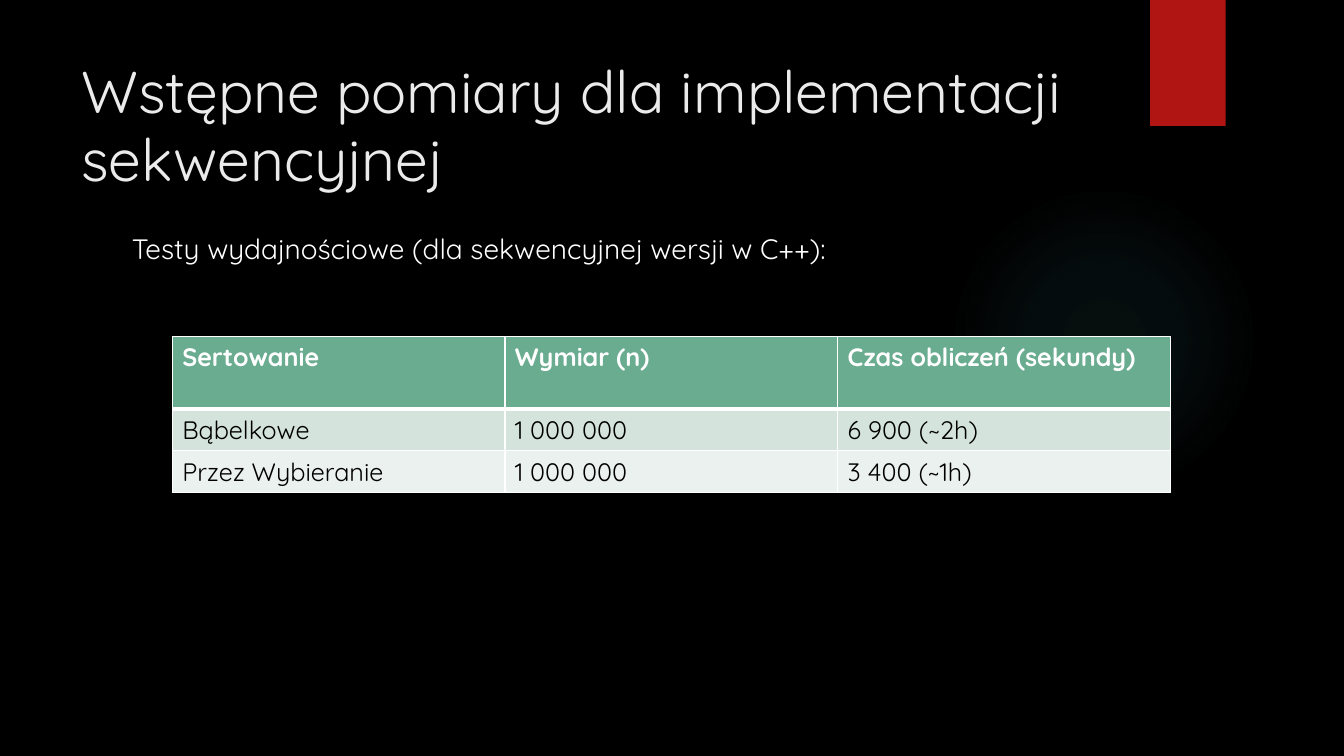
"""Build the slide with sequential sorting measurements."""
from dataclasses import dataclass

import lxml.etree
import pptx
import pptx.dml.color
import pptx.enum.shapes
import pptx.enum.text
import pptx.oxml
import pptx.oxml.ns
import pptx.util

Pt = pptx.util.Pt
MSO_SHAPE = pptx.enum.shapes.MSO_SHAPE
MSO_ANCHOR = pptx.enum.text.MSO_ANCHOR
PP_ALIGN = pptx.enum.text.PP_ALIGN
qn = pptx.oxml.ns.qn


@dataclass(frozen=True)
class Theme:
    font: str = "Quicksand"
    background: str = "000000"
    title: str = "EBEBEB"
    light: str = "FFFFFF"
    dark: str = "000000"
    accent: str = "B01513"
    glow: str = "50B9C1"
    header: str = "6AAC90"
    bands: tuple = ("D4E3DB", "EBF1EE")
    title_size: int = 42
    body_size: int = 20
    table_size: int = 18


theme = Theme()


def rgb(value):
    return pptx.dml.color.RGBColor.from_string(value)


def write(tf, text, size, color, bold=False):
    tf.text = text
    p = tf.paragraphs[0]
    p.alignment = PP_ALIGN.LEFT
    font = p.runs[0].font
    font.name, font.size, font.bold = theme.font, Pt(size), bold
    font.color.rgb = rgb(color)
    return p


prs = pptx.Presentation()
prs.slide_width, prs.slide_height = Pt(960), Pt(540)
s = prs.slides.add_slide(prs.slide_layouts[1])
s.background.fill.solid()
s.background.fill.fore_color.rgb = rgb(theme.background)

glow = s.shapes.add_shape(MSO_SHAPE.OVAL, Pt(677.5), Pt(131.8), Pt(221.8), Pt(221.8))
ribbon = s.shapes.add_shape(MSO_SHAPE.RECTANGLE, Pt(821.5), Pt(0), Pt(54), Pt(90))
for sp, color in ((glow, theme.glow), (ribbon, theme.accent)):
    sp.shadow.inherit = False
    sp.line.fill.background()
    sp.fill.solid()
    sp.fill.fore_color.rgb = rgb(color)

stops = "".join(
    f'<a:gs pos="{pos * 1000}"><a:srgbClr val="{theme.glow}">'
    f'<a:alpha val="{alpha * 1000}"/></a:srgbClr></a:gs>'
    for pos, alpha in ((0, 7), (36, 6), (69, 0))
)
gradient = pptx.oxml.parse_xml(
    f'<a:gradFill {pptx.oxml.ns.nsdecls("a")}><a:gsLst>{stops}</a:gsLst>'
    '<a:path path="circle"><a:fillToRect l="50000" t="50000" r="50000" b="50000"/>'
    "</a:path></a:gradFill>"
)
spPr = glow.element.spPr
spPr.replace(spPr.find(qn("a:solidFill")), gradient)

title, body = s.shapes.title, s.placeholders[1]
title.left, title.top, title.width, title.height = Pt(51), Pt(36), Pt(741), Pt(110)
title.text_frame.vertical_anchor = MSO_ANCHOR.MIDDLE
p = write(title.text_frame, "Wstępne pomiary dla implementacji sekwencyjnej",
          theme.title_size, theme.title)
p.line_spacing = 0.96

body.left, body.top, body.width, body.height = Pt(87), Pt(162), Pt(704), Pt(110)
body.text_frame.vertical_anchor = MSO_ANCHOR.TOP
p = write(body.text_frame, "Testy wydajnościowe (dla sekwencyjnej wersji w C++):",
          theme.body_size, theme.light)
p.space_before = Pt(10)
pPr = p._p.get_or_add_pPr()
pPr.set("marL", "0")
pPr.set("indent", "0")
lxml.etree.SubElement(pPr, qn("a:buNone"))

rows = [
    ("Sertowanie", "Wymiar (n)", "Czas obliczeń (sekundy)"),
    ("Bąbelkowe", "1 000 000", "6 900 (~2h)"),
    ("Przez Wybieranie", "1 000 000", "3 400 (~1h)"),
]
heights = (52, 29.6, 29.6)
table = s.shapes.add_table(len(rows), 3, Pt(123), Pt(240.3), Pt(713), Pt(sum(heights))).table
for i, (row, height) in enumerate(zip(rows, heights)):
    table.rows[i].height = Pt(height)
    fill = theme.bands[i - 1] if i else theme.header
    color = theme.dark if i else theme.light
    borders = {"lnL": 1, "lnR": 1, "lnT": 3 if i == 1 else 1, "lnB": 1 if i else 3}
    for j, text in enumerate(row):
        cell = table.cell(i, j)
        write(cell.text_frame, text, theme.table_size, color, bold=i == 0)
        cell.fill.solid()
        cell.fill.fore_color.rgb = rgb(fill)
        tcPr = cell._tc.get_or_add_tcPr()
        for k, (side, width) in enumerate(borders.items()):
            ln = lxml.etree.Element(qn(f"a:{side}"), w=str(Pt(width)))
            solid = lxml.etree.SubElement(ln, qn("a:solidFill"))
            lxml.etree.SubElement(solid, qn("a:srgbClr"), val=theme.light)
            tcPr.insert(k, ln)

prs.save("out.pptx")
